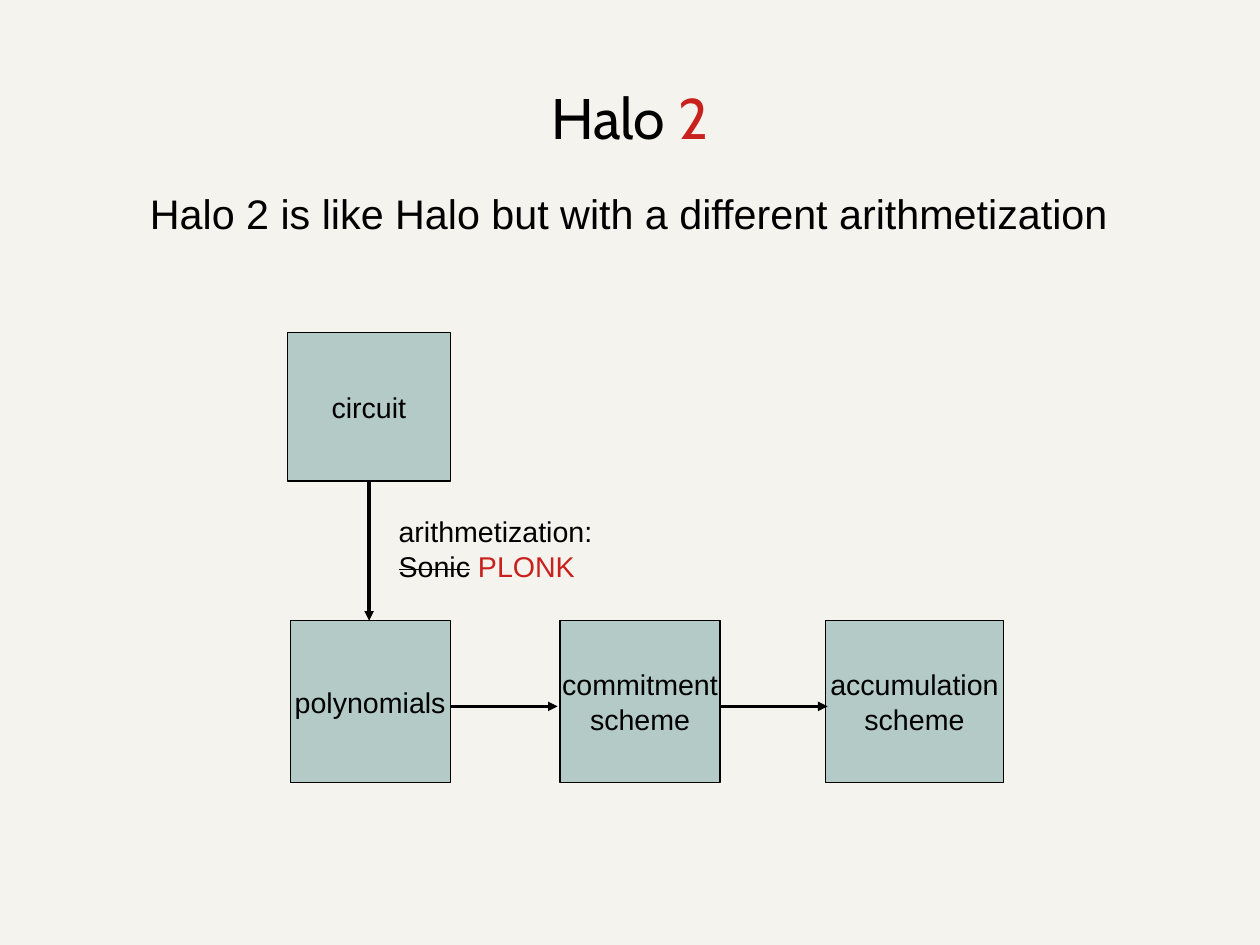
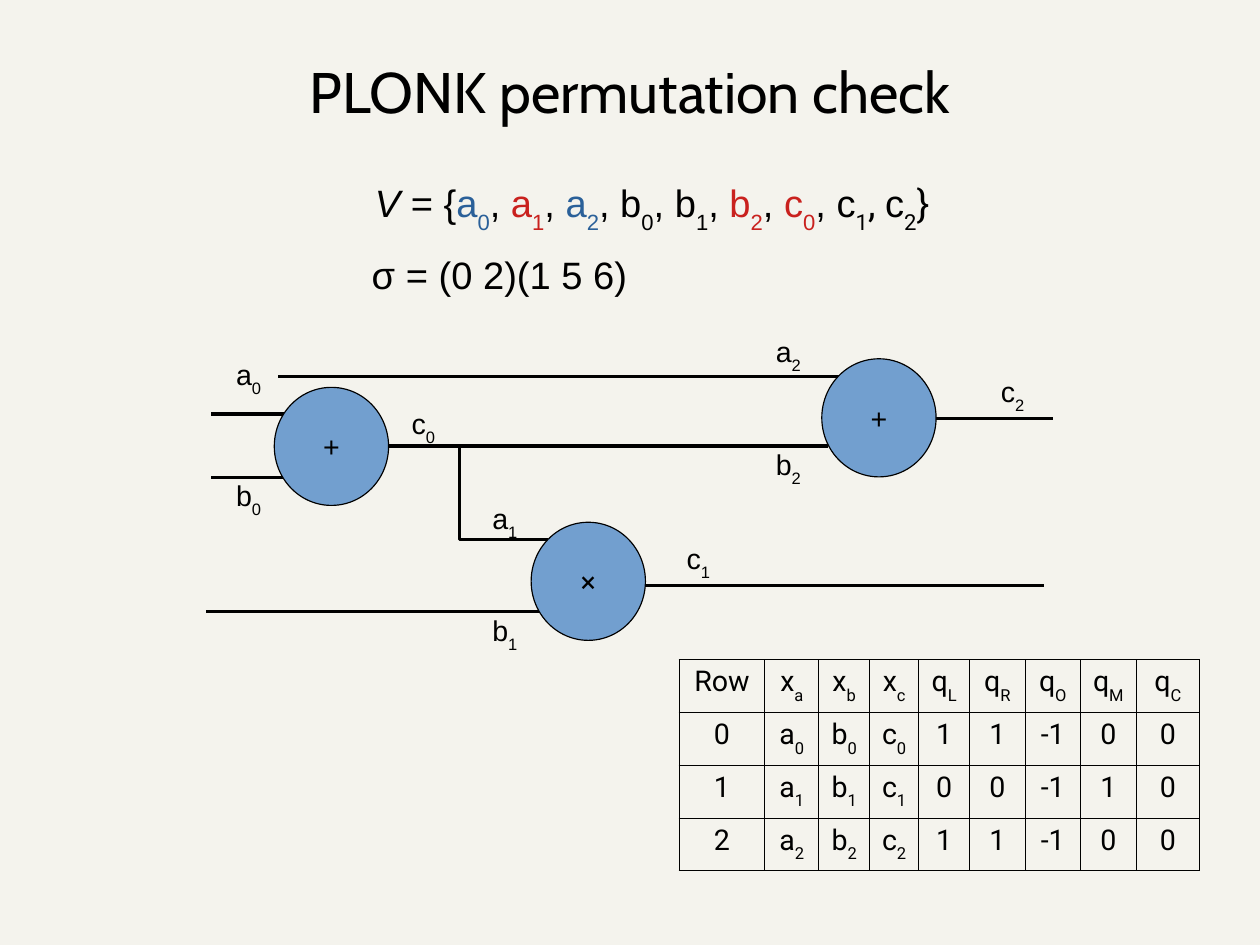
from lxml import etree
from pptx import Presentation
from pptx.dml.color import RGBColor
from pptx.enum.shapes import MSO_CONNECTOR, MSO_SHAPE
from pptx.enum.text import MSO_ANCHOR, PP_ALIGN
from pptx.oxml.ns import qn
from pptx.util import Pt

LEFT, CENTER = PP_ALIGN.LEFT, PP_ALIGN.CENTER
TOP, MIDDLE = MSO_ANCHOR.TOP, MSO_ANCHOR.MIDDLE
STRAIGHT, ELBOW = MSO_CONNECTOR.STRAIGHT, MSO_CONNECTOR.ELBOW
RECTANGLE, OVAL = MSO_SHAPE.RECTANGLE, MSO_SHAPE.OVAL

SLIDE_SIZE = (793.7, 595.3)
BACKGROUND, BLACK, RED, BLUE = "F4F3ED", "000000", "C9211E", "2A6099"
BOX_FILL, GATE_FILL = "B3CAC7", "729FCF"
TITLE_FONT, BODY_FONT, TABLE_FONT = "Cabin", "Arial", "Roboto"
INSETS, NO_INSETS = (7.2, 3.6), (0, 0)


def run(text, **style):
    return text, style


def variable(name, index_font=None, **style):
    """Runs for a name such as a_0, whose part after _ is a subscript."""
    letter, _, index = name.partition("_")
    runs = [run(letter, **style)]
    if index:
        index_style = {**style, "font": index_font} if index_font else style
        runs.append(run(index, subscript=True, **index_style))
    return runs


# Halo 2: boxes are (left, top, width, height, lines)
HALO_TITLE = [run("Halo "), run("2", colour=RED)]
HALO_SUBTITLE = "Halo 2 is like Halo but with a different arithmetization"
CIRCUIT = (181.2, 209.5, 102.4, 93.6, ["circuit"])
STEP_TOP, STEP_HEIGHT = 391, 102
STEPS = [
    (182.8, 100.8, ["polynomials"]),
    (352.8, 100.8, ["commitment", "scheme"]),
    (519.8, 112.6, ["accumulation", "scheme"]),
]
ARROW_X, ARROW_Y, ARROW_LENGTH = 232.5, 445, 67.7
ARITHMETIZATION = [
    [run("arithmetization:")],
    [run("Sonic", strike=True), run(" "), run("PLONK", colour=RED)],
]

# PLONK permutation check
PLONK_TITLE = [run("PLONK permutation check")]
VALUES = [
    run("V ", italic=True), run("= {"),
    *variable("a_0", colour=BLUE), run(", "),
    *variable("a_1", colour=RED), run(", "),
    *variable("a_2", colour=BLUE), run(", "),
    *variable("b_0"), run(", "),
    *variable("b_1"), run(", "),
    *variable("b_2", colour=RED), run(", "),
    *variable("c_0", colour=RED), run(", "),
    *variable("c_1", TABLE_FONT), run(", ", font=TABLE_FONT),
    *variable("c_2", TABLE_FONT), run("}", font=TABLE_FONT),
]
PERMUTATION = [run("σ = (0 2)(1 5 6)")]
GATE_WIDTH, GATE_HEIGHT = 72, 74.4
GATES = [
    (172.8, 244, "+", BODY_FONT),
    (334.6, 329, "×", TABLE_FONT),
    (517.7, 226, "+", BODY_FONT),
]
WIRES = [
    (133, 260.8, 184, 260.8),
    (133, 300.6, 184, 300.6),
    (130, 385.4, 345.6, 385.4),
    (175.4, 237, 528.3, 237),
    (289.4, 281, 521.6, 281),
    (589.7, 263.5, 663.2, 263.5),
    (406.4, 368.6, 657.4, 368.6),
]
BRANCH, BRANCH_BEND = (244.8, 281, 345.2, 339.8), 0.447
LABELS = {
    "a_0": (141.6, 221.2), "b_0": (141.6, 297.4), "c_0": (252.2, 252),
    "a_1": (303, 311.8), "b_1": (303, 382.4), "c_1": (425.4, 337),
    "a_2": (481.6, 206.8), "b_2": (481.6, 278), "c_2": (623.4, 231.8),
}
COLUMN_WIDTHS = [54, 34, 32, 31, 32, 35, 35, 35, 40]
TABLE_LEFT, TABLE_TOP, ROW_HEIGHT = 427.8, 415.6, 32.6
TABLE_ROWS = [
    ["Row", "x_a", "x_b", "x_c", "q_L", "q_R", "q_O", "q_M", "q_C"],
    ["0", "a_0", "b_0", "c_0", "1", "1", "-1", "0", "0"],
    ["1", "a_1", "b_1", "c_1", "0", "0", "-1", "1", "0"],
    ["2", "a_2", "b_2", "c_2", "1", "1", "-1", "0", "0"],
]


def rgb(colour):
    return RGBColor.from_string(colour)


def points(*lengths):
    return [Pt(length) for length in lengths]


def write(frame, paragraphs, size=18, font=BODY_FONT, align=LEFT):
    for number, runs in enumerate(paragraphs):
        paragraph = frame.add_paragraph() if number else frame.paragraphs[0]
        paragraph.alignment = align
        for text, style in runs:
            piece = paragraph.add_run()
            piece.text = text
            piece.font.size = Pt(size)
            piece.font.name = style.get("font", font)
            piece.font.color.rgb = rgb(style.get("colour", BLACK))
            properties = piece._r.get_or_add_rPr()
            if style.get("italic"):
                piece.font.italic = True
            if style.get("strike"):
                properties.set("strike", "sngStrike")
            if style.get("subscript"):
                properties.set("baseline", "-33000")


def set_up(frame, anchor=TOP, insets=INSETS, wrap=True):
    frame.word_wrap = wrap
    frame.vertical_anchor = anchor
    frame.margin_left = frame.margin_right = Pt(insets[0])
    frame.margin_top = frame.margin_bottom = Pt(insets[1])


def add_text(slide, area, paragraphs, anchor=TOP, insets=INSETS, **style):
    frame = slide.shapes.add_textbox(*points(*area)).text_frame
    set_up(frame, anchor, insets)
    write(frame, paragraphs, **style)
    return frame


def add_title(slide, runs, height):
    add_text(slide, (39.6, 23.8, 714.2, height), [runs], MIDDLE, NO_INSETS,
             size=36, font=TITLE_FONT, align=CENTER)


def add_block(slide, kind, area, fill, lines, font=BODY_FONT):
    shape = slide.shapes.add_shape(kind, *points(*area))
    shape.shadow.inherit = False
    shape.fill.solid()
    shape.fill.fore_color.rgb = rgb(fill)
    shape.line.color.rgb = rgb(BLACK)
    shape.line.width = Pt(0)
    set_up(shape.text_frame, MIDDLE, wrap=False)
    write(shape.text_frame, [[run(line)] for line in lines], font=font, align=CENTER)


def add_line(slide, ends, arrow=False, bend=None):
    """Draw a hairline; bend is the share of the width at which it turns."""
    kind = STRAIGHT if bend is None else ELBOW
    connector = slide.shapes.add_connector(kind, *points(*ends))
    connector.line.color.rgb = rgb(BLACK)
    connector.line.width = Pt(0)
    properties = connector._element.spPr
    if arrow:
        etree.SubElement(properties.find(qn("a:ln")), qn("a:tailEnd"), type="triangle")
    if bend is not None:
        guides = properties.find(qn("a:prstGeom")).find(qn("a:avLst"))
        etree.SubElement(guides, qn("a:gd"), name="adj1", fmla=f"val {round(bend * 100000)}")
    etree.SubElement(properties, qn("a:effectLst"))


def add_borders(cell):
    properties = cell._tc.get_or_add_tcPr()
    for position, side in enumerate(("lnL", "lnR", "lnT", "lnB")):
        border = etree.Element(qn(f"a:{side}"), w=str(Pt(0.57)))
        fill = etree.SubElement(border, qn("a:solidFill"))
        etree.SubElement(fill, qn("a:srgbClr"), val=BLACK)
        properties.insert(position, border)


def add_gate_table(slide):
    area = (TABLE_LEFT, TABLE_TOP, sum(COLUMN_WIDTHS), ROW_HEIGHT * len(TABLE_ROWS))
    table = slide.shapes.add_table(len(TABLE_ROWS), len(COLUMN_WIDTHS), *points(*area)).table
    table.first_row = table.horz_banding = False
    for column, width in zip(table.columns, COLUMN_WIDTHS):
        column.width = Pt(width)
    for row_number, names in enumerate(TABLE_ROWS):
        table.rows[row_number].height = Pt(ROW_HEIGHT)
        for column_number, name in enumerate(names):
            cell = table.cell(row_number, column_number)
            cell.fill.background()
            add_borders(cell)
            write(cell.text_frame, [variable(name)], font=TABLE_FONT, align=CENTER)


def build_halo(slide):
    add_title(slide, HALO_TITLE, 99.4)
    add_text(slide, (82, 115.2, 629.4, 65.5), [[run(HALO_SUBTITLE)]], size=26, align=CENTER)
    *circuit_area, circuit_lines = CIRCUIT
    add_block(slide, RECTANGLE, circuit_area, BOX_FILL, circuit_lines)
    for left, width, lines in STEPS:
        add_block(slide, RECTANGLE, (left, STEP_TOP, width, STEP_HEIGHT), BOX_FILL, lines)
    circuit_bottom = circuit_area[1] + circuit_area[3]
    add_line(slide, (ARROW_X, circuit_bottom, ARROW_X, STEP_TOP), arrow=True)
    for left, width, _ in STEPS[:-1]:
        start = left + width
        add_line(slide, (start, ARROW_Y, start + ARROW_LENGTH, ARROW_Y), arrow=True)
    add_text(slide, (244, 320.4, 142, 47.5), ARITHMETIZATION)


def build_plonk(slide):
    add_title(slide, PLONK_TITLE, 67)
    frame = add_text(slide, (33.8, 113, 720, 85), [VALUES, PERMUTATION],
                     insets=NO_INSETS, size=24)
    values, permutation = frame.paragraphs
    values.alignment = CENTER
    permutation.space_before = Pt(10.6)
    for paragraph, indent in ((values, 34), (permutation, 200.4)):
        paragraph._p.get_or_add_pPr().set("marL", str(Pt(indent)))
    for ends in WIRES:
        add_line(slide, ends)
    add_line(slide, BRANCH, bend=BRANCH_BEND)
    for left, top, sign, font in GATES:
        add_block(slide, OVAL, (left, top, GATE_WIDTH, GATE_HEIGHT), GATE_FILL, [sign], font)
    for name, (left, top) in LABELS.items():
        add_text(slide, (left, top, 34, 31.6), [variable(name)])
    add_gate_table(slide)


def main():
    presentation = Presentation()
    presentation.slide_width, presentation.slide_height = points(*SLIDE_SIZE)
    background = presentation.slide_master.background.fill
    background.solid()
    background.fore_color.rgb = rgb(BACKGROUND)
    blank = presentation.slide_layouts[6]
    for build in (build_halo, build_plonk):
        build(presentation.slides.add_slide(blank))
    presentation.save("out.pptx")


if __name__ == "__main__":
    main()
